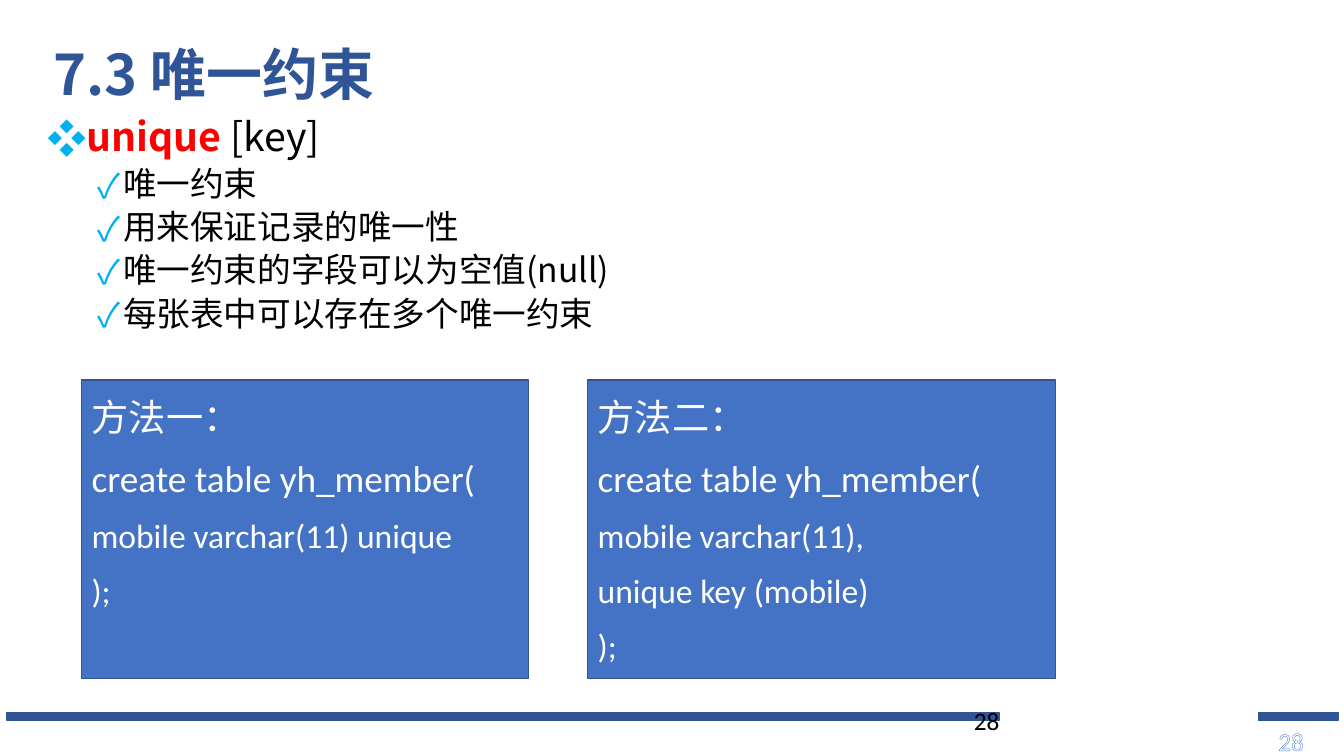
from dataclasses import dataclass
from lxml.etree import SubElement
from pptx import Presentation
from pptx.dml.color import RGBColor
from pptx.enum.dml import MSO_PATTERN
from pptx.enum.shapes import MSO_SHAPE
from pptx.enum.text import MSO_ANCHOR, MSO_AUTO_SIZE, PP_ALIGN
from pptx.oxml.ns import qn
from pptx.util import Inches, Pt


@dataclass(frozen=True)
class Theme:
    """Colours, fonts and type sizes of the slide."""
    navy: str = "2F5597"
    blue: str = "4472C4"
    edge: str = "325491"
    pale: str = "8FAADC"
    sky: str = "00B0F0"
    red: str = "FF0000"
    black: str = "000000"
    white: str = "FFFFFF"
    sans: str = "Noto Sans CJK SC"
    latin: str = "Calibri"
    title: float = 40
    head: float = 28
    item: float = 24
    lead: float = 26.6
    code: float = 24
    number: float = 18


THEME = Theme()


def rgb(code):
    """Turn a hex code into a colour."""
    return RGBColor.from_string(code)


def add_run(para, text, size, color, face, bold=False):
    """Add one formatted run to a paragraph."""
    run = para.add_run()
    run.text = text
    font = run.font
    font.size, font.name, font.bold = Pt(size), face, bold
    font.color.rgb = rgb(color)
    SubElement(run._r.rPr, qn("a:ea"), typeface=THEME.sans)
    return run


def add_para(frame, first, lines=1.0, before=0):
    """Return the first or a new left-aligned paragraph."""
    para = frame.paragraphs[0] if first else frame.add_paragraph()
    para.alignment = PP_ALIGN.LEFT
    para.line_spacing = lines
    para.space_before = Pt(0 if first else before)
    return para


def set_bullet(para, mark, indent):
    """Give a paragraph a coloured bullet with a hanging indent."""
    props = para._p.get_or_add_pPr()
    props.set("marL", str(Inches(indent)))
    props.set("indent", str(-Inches(0.25)))
    tint = SubElement(props, qn("a:buClr"))
    SubElement(tint, qn("a:srgbClr"), val=THEME.sky)
    SubElement(props, qn("a:buFont"), typeface=THEME.sans)
    SubElement(props, qn("a:buChar"), char=mark)


def place(shape, left, top, width, height):
    """Move and size a placeholder."""
    shape.left, shape.top = Inches(left), Inches(top)
    shape.width, shape.height = Inches(width), Inches(height)
    shape.text_frame.auto_size = MSO_AUTO_SIZE.NONE
    shape.text_frame.word_wrap = True


def add_box(slide, left, top, width, height, fill, edge):
    """Add a filled rectangle with a thin edge."""
    box = slide.shapes.add_shape(MSO_SHAPE.RECTANGLE, Inches(left), Inches(top),
                                 Inches(width), Inches(height))
    box.shadow.inherit = False
    box.fill.solid()
    box.fill.fore_color.rgb = rgb(fill)
    box.line.color.rgb = rgb(edge)
    box.line.width = Pt(1)
    return box


def add_number(slide, left, top, width, color):
    """Add the page number and return its run."""
    box = slide.shapes.add_textbox(Inches(left), Inches(top), Inches(width), Inches(0.4))
    box.text_frame.word_wrap = True
    para = add_para(box.text_frame, True)
    return add_run(para, "28", THEME.number, color, THEME.latin)


def hollow(run):
    """Draw a run with a pattern fill and an outline."""
    fill = run.font.fill
    fill.patterned()
    fill.pattern = MSO_PATTERN.LIGHT_DOWNWARD_DIAGONAL
    fill.fore_color.rgb = rgb(THEME.pale)
    fill.back_color.rgb = rgb(THEME.white)
    props = run._r.rPr
    line = SubElement(props, qn("a:ln"), w=str(Pt(1)))
    solid = SubElement(line, qn("a:solidFill"))
    SubElement(solid, qn("a:srgbClr"), val=THEME.blue)
    props.insert(0, line)


def add_title(slide, text):
    """Fill the title placeholder."""
    title = slide.shapes.title
    place(title, 0.43, 0.04, 11.5, 1.45)
    title.text_frame.vertical_anchor = MSO_ANCHOR.MIDDLE
    para = add_para(title.text_frame, True, 0.9)
    add_run(para, text, THEME.title, THEME.navy, THEME.sans, True)


def add_list(slide, items):
    """Fill the body placeholder with a keyword and its points."""
    body = slide.placeholders[1]
    place(body, 0.37, 1.12, 11.55, 5.61)
    frame = body.text_frame
    frame.vertical_anchor = MSO_ANCHOR.TOP
    para = add_para(frame, True, 0.9)
    set_bullet(para, "❖", 0.25)
    add_run(para, "unique", THEME.head, THEME.red, THEME.sans, True)
    add_run(para, " [key]", THEME.head, THEME.black, THEME.sans)
    for item in items:
        para = add_para(frame, False, 0.9, 5)
        para.level = 1
        set_bullet(para, "✓", 0.75)
        add_run(para, item, THEME.item, THEME.black, THEME.sans)


def add_method(slide, left, width, name, code):
    """Add a panel with a method name and its statement."""
    box = add_box(slide, left, 3.77, width, 2.96, THEME.blue, THEME.edge)
    frame = box.text_frame
    frame.word_wrap = True
    frame.vertical_anchor = MSO_ANCHOR.TOP
    for spot, text in enumerate([name, "create table yh_member(", *code, ");"]):
        size = THEME.lead if spot < 2 else THEME.code
        para = add_para(frame, spot == 0, 1.2, size * 0.2)
        add_run(para, text, size, THEME.white, THEME.latin)


def main():
    """Build the slide and save it."""
    deck = Presentation()
    deck.slide_width, deck.slide_height = Inches(13.33), Inches(7.5)
    slide = deck.slides.add_slide(deck.slide_layouts[1])
    for left, width in ((0.07, 9.84), (12.48, 0.79)):
        add_box(slide, left, 7.07, width, 0.08, THEME.navy, THEME.navy)
    hollow(add_number(slide, 12.58, 7.15, 0.69, THEME.pale))
    add_list(slide, ["唯一约束", "用来保证记录的唯一性",
                     "唯一约束的字段可以为空值(null)", "每张表中可以存在多个唯一约束"])
    add_number(slide, 9.56, 6.95, 3.11, THEME.black)
    add_title(slide, "7.3 唯一约束")
    add_method(slide, 0.81, 4.43, "方法一：", ["mobile varchar(11) unique"])
    add_method(slide, 5.83, 4.64, "方法二：", ["mobile varchar(11),", "unique key (mobile)"])
    deck.save("out.pptx")


if __name__ == "__main__":
    main()
